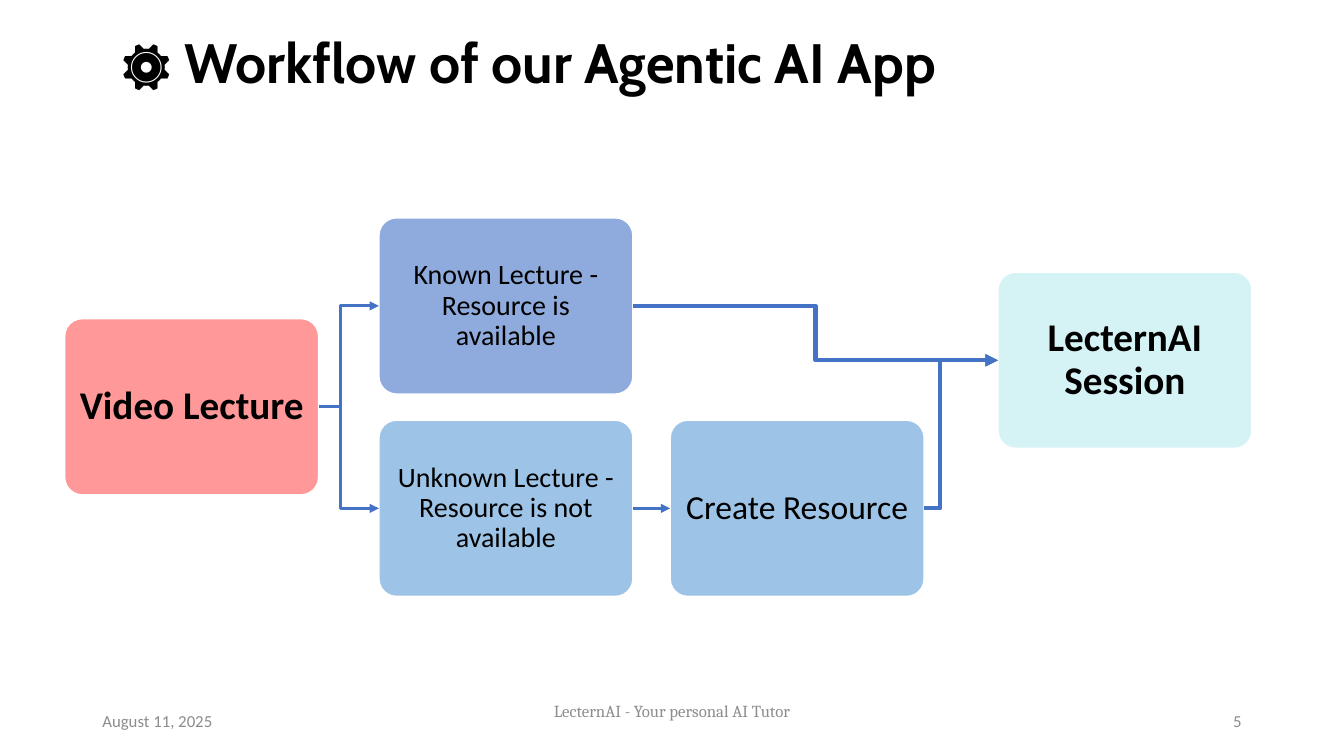
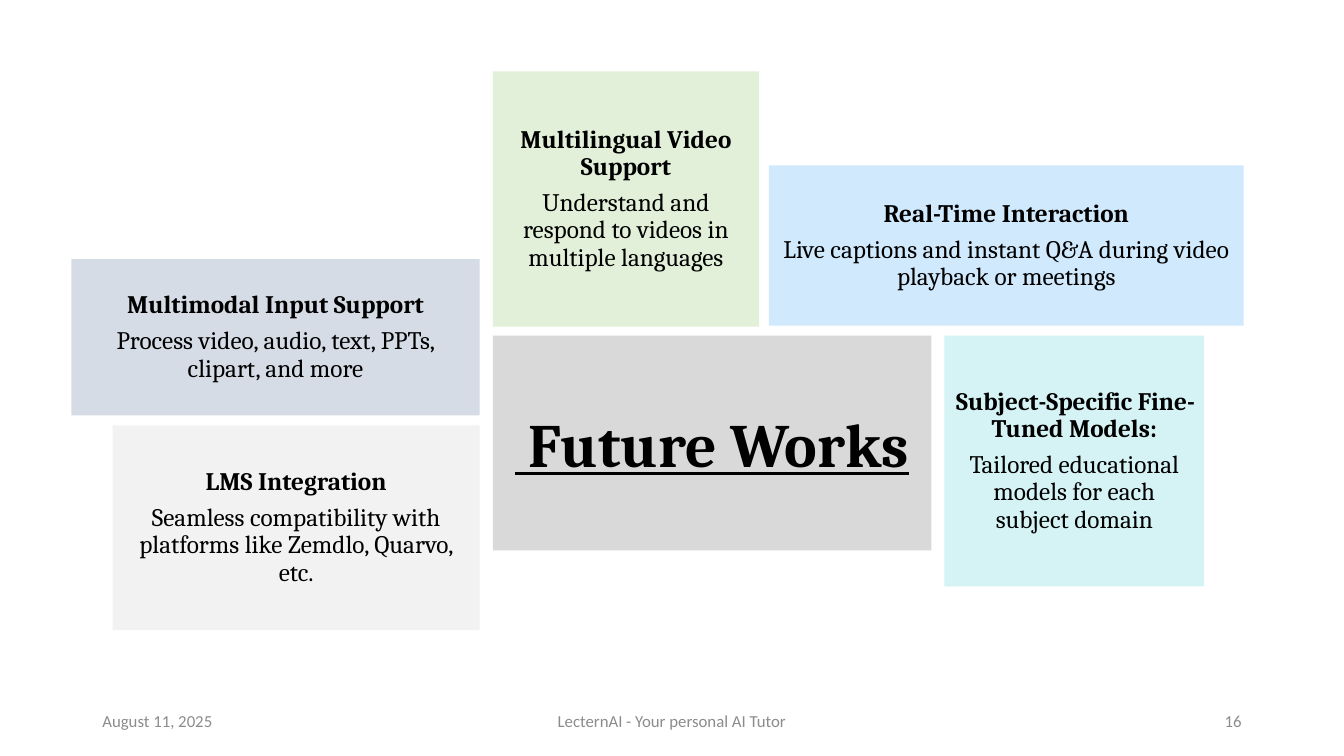
from lxml.etree import SubElement
from pptx import Presentation
from pptx.dml.color import RGBColor
from pptx.enum.shapes import MSO_CONNECTOR, MSO_SHAPE
from pptx.enum.text import MSO_ANCHOR, MSO_AUTO_SIZE, PP_ALIGN
from pptx.oxml.ns import qn
from pptx.util import Cm, Pt

# Colours and fonts
BLACK = RGBColor(0x00, 0x00, 0x00)
WHITE = RGBColor(0xFF, 0xFF, 0xFF)
FOOTER_GREY = RGBColor(0x8C, 0x8C, 0x8C)
ARROW_BLUE = RGBColor(0x44, 0x72, 0xC4)
PERIWINKLE = RGBColor(0x8F, 0xAA, 0xDC)
SKY = RGBColor(0x9D, 0xC3, 0xE6)
CORAL = RGBColor(0xFF, 0x99, 0x99)
AQUA = RGBColor(0xD5, 0xF3, 0xF5)
CENTRE_GREY = RGBColor(0xD9, 0xD9, 0xD9)
PALE_BLUE = RGBColor(0xD1, 0xE9, 0xFC)
PALE_GREEN = RGBColor(0xE2, 0xF0, 0xD9)
SLATE = RGBColor(0xD6, 0xDC, 0xE5)
PALE_GREY = RGBColor(0xF2, 0xF2, 0xF2)
TITLE_FONT, SANS, SERIF = "Cabin", "Calibri", "Cambria"


def add_run(paragraph, text, size, font, color=BLACK, bold=False, underline=False):
    run = paragraph.add_run()
    run.text = text
    run.font.size = Pt(size)
    run.font.name = font
    run.font.color.rgb = color
    run.font.bold = bold
    run.font.underline = underline


def set_title(slide, box, text, size, font, anchor, spacing, underline=False):
    title = slide.shapes.title
    title.left, title.top, title.width, title.height = [Cm(value) for value in box]
    frame = title.text_frame
    frame.auto_size = MSO_AUTO_SIZE.NONE
    frame.word_wrap = True
    frame.vertical_anchor = anchor
    paragraph = frame.paragraphs[0]
    paragraph.alignment = PP_ALIGN.CENTER
    paragraph.line_spacing = spacing
    add_run(paragraph, text, size, font, bold=True, underline=underline)
    return title


presentation = Presentation()
presentation.slide_width = Cm(33.87)
presentation.slide_height = Cm(19.05)
title_only = presentation.slide_layouts[5]
workflow = presentation.slides.add_slide(title_only)
future = presentation.slides.add_slide(title_only)

# Footers: date, centre text and number on each slide
for slide, number, centre_font, centre_top in [
    (workflow, "5", SERIF, 17.4),
    (future, "16", SANS, 17.65),
]:
    for text, left, top, width, alignment, font in [
        ("August 11, 2025", 2.33, 17.65, 7.62, PP_ALIGN.LEFT, SANS),
        ("LecternAI - Your personal AI Tutor", 11.22, centre_top, 11.43,
         PP_ALIGN.CENTER, centre_font),
        (number, 23.92, 17.65, 7.62, PP_ALIGN.RIGHT, SANS),
    ]:
        footer = slide.shapes.add_textbox(Cm(left), Cm(top), Cm(width), Cm(1.02))
        frame = footer.text_frame
        frame.word_wrap = True
        frame.vertical_anchor = MSO_ANCHOR.MIDDLE
        frame.paragraphs[0].alignment = alignment
        add_run(frame.paragraphs[0], text, 12, font, FOOTER_GREY)

# Workflow: title
set_title(workflow, (1.17, 0.03, 24.28, 2.46), "⚙️ Workflow of our Agentic AI App",
          39.6, TITLE_FONT, MSO_ANCHOR.BOTTOM, 0.8)

# Workflow: steps of equal size
steps = {}
for name, text, left, top, fill, size, bold in [
    ("video", "Video Lecture", 1.63, 8.03, CORAL, 28, True),
    ("known", "Known Lecture - Resource is available", 9.55, 5.49, PERIWINKLE, 20, False),
    ("unknown", "Unknown Lecture - Resource is not available", 9.55, 10.59, SKY, 20, False),
    ("create", "Create Resource", 16.89, 10.59, SKY, 24, False),
    ("session", "LecternAI Session", 25.15, 6.86, AQUA, 28, True),
]:
    step = workflow.shapes.add_shape(
        MSO_SHAPE.ROUNDED_RECTANGLE, Cm(left), Cm(top), Cm(6.4), Cm(4.44))
    step.adjustments[0] = 0.1
    step.shadow.inherit = False
    step.fill.solid()
    step.fill.fore_color.rgb = fill
    step.line.color.rgb = WHITE
    step.line.width = Pt(1)
    frame = step.text_frame
    frame.word_wrap = True
    frame.vertical_anchor = MSO_ANCHOR.MIDDLE
    frame.margin_left = frame.margin_right = Cm(0.13)
    frame.margin_top = frame.margin_bottom = Cm(0.13)
    paragraph = frame.paragraphs[0]
    paragraph.alignment = PP_ALIGN.CENTER
    paragraph.line_spacing = 0.9
    add_run(paragraph, text, size, SANS, bold=bold)
    steps[name] = step

# Workflow: arrows from right side to left side; bend is a share of the width
for start, end, width, bend in [
    ("video", "known", 2.25, 0.37),
    ("video", "unknown", 2.25, 0.37),
    ("unknown", "create", 2.25, None),
    ("known", "session", 3, 0.5),
    ("create", "session", 3, 0.22),
]:
    kind = MSO_CONNECTOR.STRAIGHT if bend is None else MSO_CONNECTOR.ELBOW
    arrow = workflow.shapes.add_connector(kind, 0, 0, 0, 0)
    arrow.begin_connect(steps[start], 3)
    arrow.end_connect(steps[end], 1)
    arrow.line.color.rgb = ARROW_BLUE
    arrow.line.width = Pt(width)
    properties = arrow._element.spPr
    SubElement(properties.find(qn("a:ln")), qn("a:tailEnd"), type="triangle")
    SubElement(properties, qn("a:effectLst"))
    if bend is not None:
        guides = properties.find(qn("a:prstGeom")).find(qn("a:avLst"))
        SubElement(guides, qn("a:gd"), name="adj1", fmla=f"val {round(bend * 100000)}")

# Future works: title in the central panel
panel = set_title(future, (12.42, 8.46, 11.05, 5.41), " Future Works",
                  44, SERIF, MSO_ANCHOR.MIDDLE, 1.0, underline=True)
panel.fill.solid()
panel.fill.fore_color.rgb = CENTRE_GREY

# Future works: topic cards around the panel
for heading, detail, box, fill in [
    ("Real-Time Interaction",
     "Live captions and instant Q&A during video playback or meetings",
     (19.38, 4.17, 11.96, 4.04), PALE_BLUE),
    ("Subject-Specific Fine-Tuned Models:",
     "Tailored educational models for each subject domain",
     (23.8, 8.46, 6.55, 6.32), AQUA),
    ("Multilingual Video Support",
     "Understand and respond to videos in multiple languages",
     (12.42, 1.8, 6.71, 6.43), PALE_GREEN),
    ("Multimodal Input Support",
     "Process video, audio, text, PPTs, clipart, and more",
     (1.8, 6.53, 10.29, 3.94), SLATE),
    ("LMS Integration",
     "Seamless compatibility with platforms like Zemdlo, Quarvo, etc.",
     (2.84, 10.72, 9.25, 5.16), PALE_GREY),
]:
    card = future.shapes.add_shape(MSO_SHAPE.RECTANGLE, *[Cm(value) for value in box])
    card.shadow.inherit = False
    card.fill.solid()
    card.fill.fore_color.rgb = fill
    card.line.fill.background()
    frame = card.text_frame
    frame.word_wrap = True
    frame.vertical_anchor = MSO_ANCHOR.MIDDLE
    heading_paragraph = frame.paragraphs[0]
    heading_paragraph.space_after = Pt(6.3)
    detail_paragraph = frame.add_paragraph()
    for paragraph, text, bold in [
        (heading_paragraph, heading, True),
        (detail_paragraph, detail, False),
    ]:
        paragraph.alignment = PP_ALIGN.CENTER
        paragraph.line_spacing = 0.9
        add_run(paragraph, text, 18, SERIF, bold=bold)

presentation.save("out.pptx")
